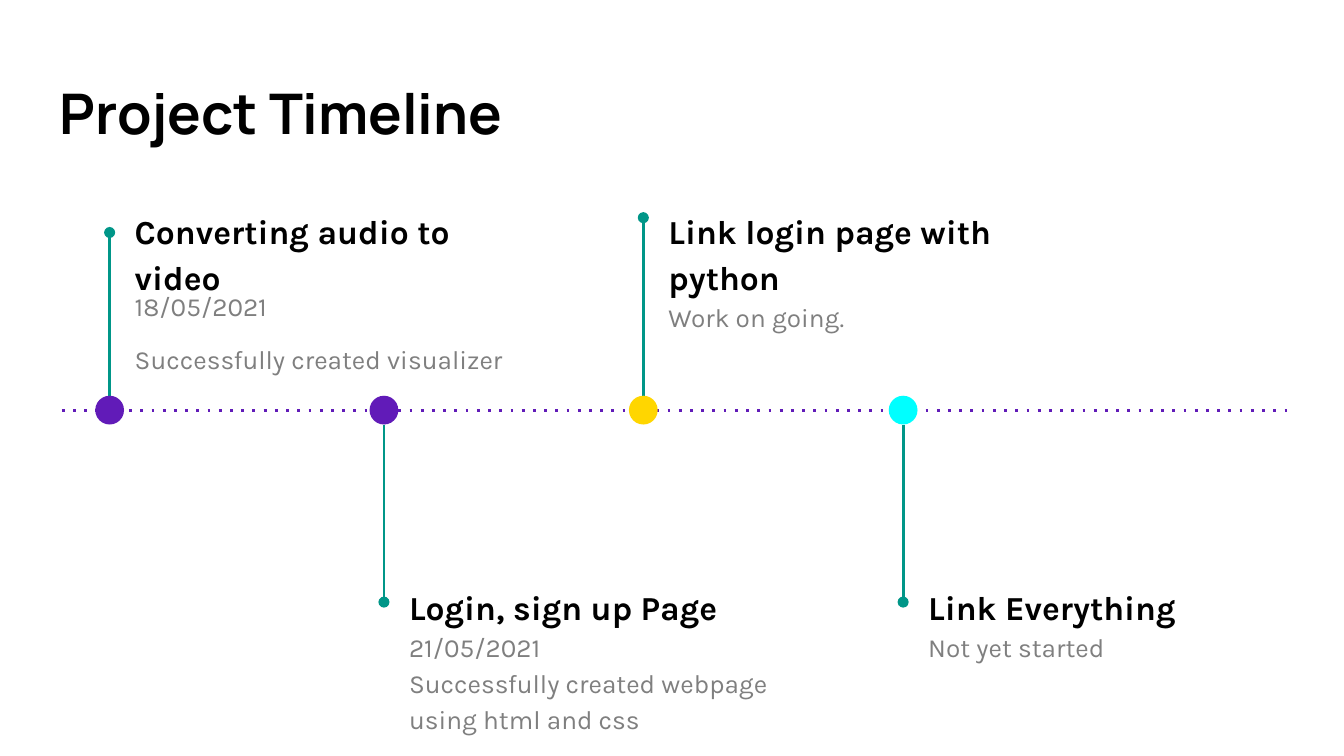
"""Build a project timeline slide with milestones above and below a dotted axis."""
from dataclasses import dataclass

from lxml.etree import SubElement
from pptx import Presentation
from pptx.dml.color import RGBColor
from pptx.enum.shapes import MSO_CONNECTOR, MSO_SHAPE
from pptx.oxml.ns import qn
from pptx.util import Inches, Pt


@dataclass(frozen=True)
class Theme:
    ink: str = "000000"
    muted: str = "7F7F7F"
    axis: str = "611BB8"
    stem: str = "009688"
    done: str = "611BB8"
    ongoing: str = "FFD600"
    pending: str = "00FFFF"
    title_font: str = "Manrope"
    body_font: str = "Karla"
    title_size: int = 30
    heading_size: int = 18
    body_size: int = 14
    line_width: float = 1.5


@dataclass(frozen=True)
class Detail:
    text: str
    spacing: float = 1.15
    before: int = 0
    after: int = 0


@dataclass(frozen=True)
class Milestone:
    col: float
    tip: float
    color: str
    heading: str
    details: tuple
    width: float = 29.1


class Timeline:
    CELL = 0.1
    AXIS = 30.52
    DOT = 2.14

    def __init__(self, slide, theme):
        self.s, self.theme = slide, theme

    def grid(self, *cells):
        return [Inches(c * self.CELL) for c in cells]

    def style(self, p, text, font, size, color, bold=False):
        p.text = text
        p.font.name, p.font.size, p.font.bold = font, Pt(size), bold
        p.font.color.rgb = RGBColor.from_string(color)

    def text_box(self, *box):
        tf = self.s.shapes.add_textbox(*self.grid(*box)).text_frame
        tf.word_wrap = True
        tf.margin_left = tf.margin_right = tf.margin_top = tf.margin_bottom = Inches(0.1)
        return tf

    def title(self, text):
        t = self.theme
        p = self.text_box(3.45, 4.86, 93.2, 6.8).paragraphs[0]
        self.style(p, text, t.title_font, t.title_size, t.ink, True)

    def line(self, shapes, ends, color, tag, **attrs):
        c = shapes.add_connector(MSO_CONNECTOR.STRAIGHT, *self.grid(*ends))
        c.line.color.rgb = RGBColor.from_string(color)
        c.line.width = Pt(self.theme.line_width)
        SubElement(c.line._get_or_add_ln(), qn(tag), **attrs)
        SubElement(c._element.spPr, qn("a:effectLst"))

    def axis(self):
        ends = (4.6, self.AXIS, 95.8, self.AXIS)
        self.line(self.s.shapes, ends, self.theme.axis, "a:prstDash", val="dot")

    def marker(self, m):
        shapes = self.s.shapes.add_group_shape().shapes
        r = self.DOT / 2
        start = self.AXIS + (r if m.tip > self.AXIS else -r)
        self.line(shapes, (m.col, start, m.col, m.tip), self.theme.stem, "a:tailEnd", type="oval")
        box = self.grid(m.col - r, self.AXIS - r, self.DOT, self.DOT)
        dot = shapes.add_shape(MSO_SHAPE.OVAL, *box)
        dot.shadow.inherit = False
        dot.fill.solid()
        dot.fill.fore_color.rgb = RGBColor.from_string(m.color)
        dot.line.fill.background()

    def caption(self, m):
        t = self.theme
        top = 42.2 if m.tip > self.AXIS else 14.22
        tf = self.text_box(m.col + 0.88, top, m.width, 10.6)
        p = tf.paragraphs[0]
        self.style(p, m.heading, t.body_font, t.heading_size, t.ink, True)
        p.line_spacing = 1.15
        for d in m.details:
            p = tf.add_paragraph()
            self.style(p, d.text, t.body_font, t.body_size, t.muted)
            p.line_spacing = d.spacing
            p.space_before, p.space_after = Pt(d.before), Pt(d.after)

    def milestone(self, m):
        self.marker(m)
        self.caption(m)


def main():
    prs = Presentation()
    prs.slide_width = Inches(10)
    prs.slide_height = prs.slide_width * 9 // 16
    theme = Theme()
    timeline = Timeline(prs.slides.add_slide(prs.slide_layouts[6]), theme)
    milestones = (
        Milestone(8.16, 17.3, theme.done, "Converting audio to video",
                  (Detail("18/05/2021", 0.75),
                   Detail("Successfully created visualizer", 0.75, 16, 16)), 30.5),
        Milestone(28.57, 44.8, theme.done, "Login, sign up Page",
                  (Detail("21/05/2021"),
                   Detail("Successfully created webpage using html and css", after=16))),
        Milestone(47.87, 16.2, theme.ongoing, "Link login page with python",
                  (Detail("Work on going."),)),
        Milestone(67.2, 44.8, theme.pending, "Link Everything",
                  (Detail("Not yet started", after=16),)),
    )
    timeline.title("Project Timeline")
    timeline.axis()
    for m in milestones:
        timeline.milestone(m)
    prs.save("out.pptx")


if __name__ == "__main__":
    main()
